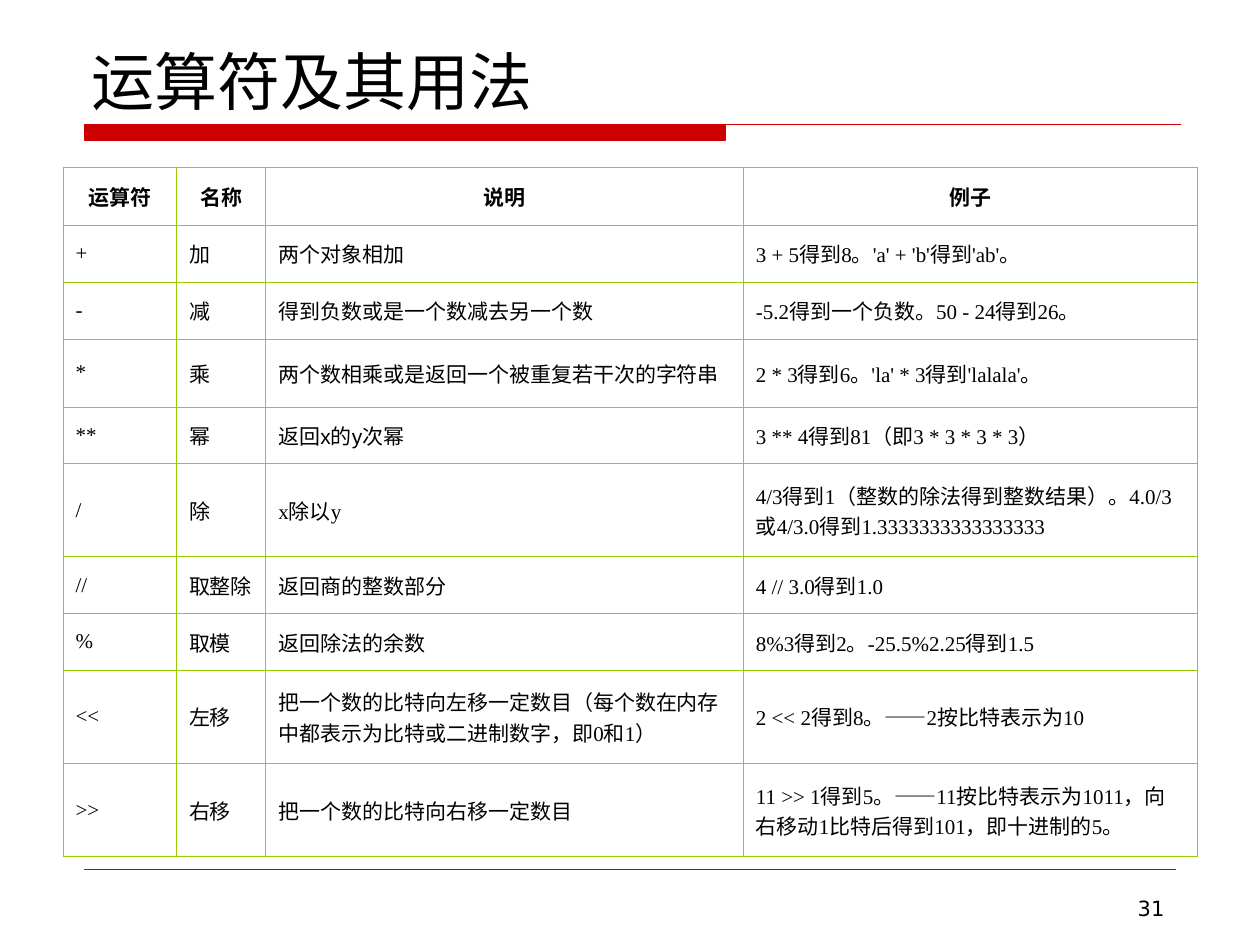
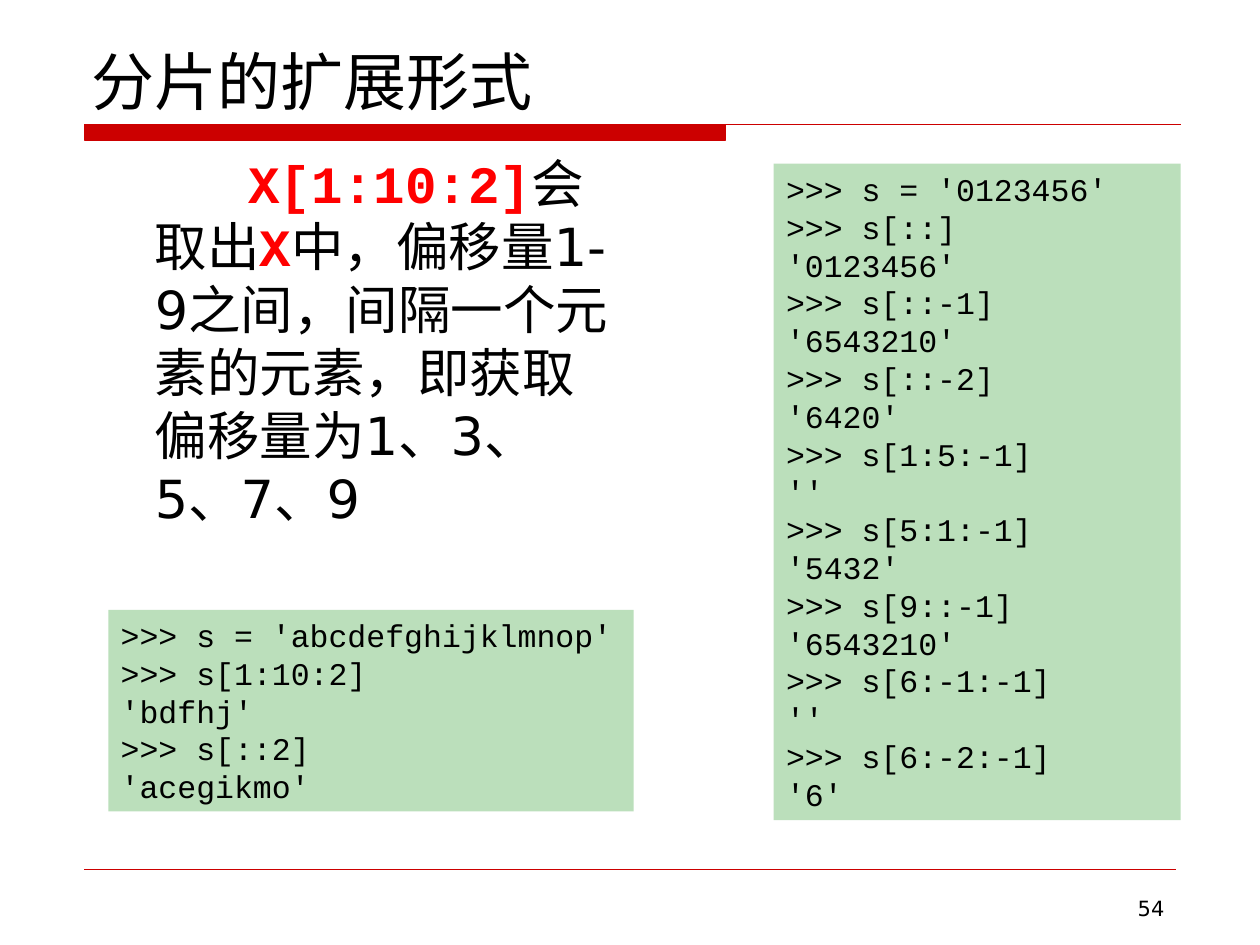
import pptx
import pptx.util
import pptx.dml.color
import pptx.enum.shapes
import pptx.enum.text
import pptx.oxml
import pptx.oxml.ns
import lxml.etree

Pt = pptx.util.Pt
RGB = pptx.dml.color.RGBColor.from_string
ALIGN = pptx.enum.text.PP_ALIGN
ANCHOR = pptx.enum.text.MSO_ANCHOR
COLORS = {"text": "000000", "rule": "CC0000", "key": "FF0000", "code": "BBDFBB", "grid": "99CC00"}
FONTS = {"body": "DejaVu Sans", "code": "Courier New", "table": "Times New Roman", "plain": "Arial"}

presentation = pptx.Presentation()
presentation.slide_width = pptx.util.Inches(10)
presentation.slide_height = pptx.util.Inches(7.5)


def share(*percents):
    sides = (presentation.slide_width, presentation.slide_height)
    return [round(sides[index % 2] * percent / 100) for index, percent in enumerate(percents)]


def write(frame, lines, font, size, align=ALIGN.LEFT, bold=False):
    frame.word_wrap = True
    for index, line in enumerate(lines):
        paragraph = frame.paragraphs[0] if index == 0 else frame.add_paragraph()
        paragraph.alignment = align
        paragraph.font.name = FONTS[font]
        paragraph.font.size = Pt(size)
        paragraph.font.bold = bold
        paragraph.font.color.rgb = RGB(COLORS["text"])
        paragraph.add_run().text = line


slides = []
for title, number in [("运算符及其用法", "31"), ("分片的扩展形式", "54")]:
    slide = presentation.slides.add_slide(presentation.slide_layouts[6])
    slides.append(slide)

    left, top, middle, bottom = share(6.7, 13.2, 57.6, 14.8)
    right = share(93.7)[0]
    builder = slide.shapes.build_freeform(left, top)
    builder.add_line_segments([(middle, top), (middle, bottom), (left, bottom)])
    builder.move_to(left, top)
    builder.add_line_segments([(right, top)], close=False)
    title_rule = builder.convert_to_shape()
    title_rule.shadow.inherit = False
    title_rule.fill.solid()
    title_rule.fill.fore_color.rgb = RGB(COLORS["rule"])
    title_rule.line.color.rgb = RGB(COLORS["rule"])
    title_rule.line.width = Pt(0.75)

    footer_rule = slide.shapes.add_connector(
        pptx.enum.shapes.MSO_CONNECTOR.STRAIGHT, *share(6.7, 92, 93.3, 92))
    footer_rule.line.color.rgb = RGB(COLORS["rule"])
    footer_rule.line.width = Pt(0.25)
    lxml.etree.SubElement(footer_rule._element.spPr, pptx.oxml.ns.qn("a:effectLst"))

    title_box = slide.shapes.add_textbox(*share(6.3, 4.4, 87.5, 8.8))
    title_box.text_frame.vertical_anchor = ANCHOR.BOTTOM
    write(title_box.text_frame, [title], "body", 36)
    number_box = slide.shapes.add_textbox(*share(71.7, 94.13, 21.7, 3.87))
    write(number_box.text_frame, [number], "body", 12, ALIGN.RIGHT)

operator_slide, slicing_slide = slides

operators = [
    ("运算符", "名称", "说明", "例子"),
    ("+", "加", "两个对象相加", "3 + 5得到8。'a' + 'b'得到'ab'。"),
    ("-", "减", "得到负数或是一个数减去另一个数", "-5.2得到一个负数。50 - 24得到26。"),
    ("*", "乘", "两个数相乘或是返回一个被重复若干次的字符串", "2 * 3得到6。'la' * 3得到'lalala'。"),
    ("**", "幂", "返回x的y次幂", "3 ** 4得到81（即3 * 3 * 3 * 3）"),
    ("/", "除", "x除以y", "4/3得到1（整数的除法得到整数结果）。4.0/3或4/3.0得到1.3333333333333333"),
    ("//", "取整除", "返回商的整数部分", "4 // 3.0得到1.0"),
    ("%", "取模", "返回除法的余数", "8%3得到2。-25.5%2.25得到1.5"),
    ("<<", "左移", "把一个数的比特向左移一定数目（每个数在内存中都表示为比特或二进制数字，即0和1）",
     "2 << 2得到8。——2按比特表示为10"),
    (">>", "右移", "把一个数的比特向右移一定数目",
     "11 >> 1得到5。——11按比特表示为1011，向右移动1比特后得到101，即十进制的5。"),
]
column_shares = [9, 7.1, 37.9, 36]
row_shares = [6.13, 6, 6, 7.2, 6, 9.87, 6, 6, 9.87, 9.87]
dash = "——"

table = operator_slide.shapes.add_table(
    len(operators), len(column_shares),
    *share(5, 17.73, sum(column_shares), sum(row_shares))).table
table.first_row = False
table.horz_banding = False
for column, width in zip(table.columns, column_shares):
    column.width = share(width)[0]
for row, height in zip(table.rows, row_shares):
    row.height = share(0, height)[1]

for row_index, texts in enumerate(operators):
    header = row_index == 0
    for column_index, text in enumerate(texts):
        cell = table.cell(row_index, column_index)
        cell.vertical_anchor = ANCHOR.MIDDLE
        cell.fill.background()
        font = "plain" if text == "返回x的y次幂" else "table"
        before, found, after = text.partition(dash)
        write(cell.text_frame, [before], font, 12, ALIGN.CENTER if header else ALIGN.LEFT, header)
        if found:
            paragraph = cell.text_frame.paragraphs[0]
            dash_run = paragraph.add_run()
            dash_run.text = dash
            dash_run.font.name = FONTS["plain"]
            paragraph.add_run().text = after
        properties = cell._tc.get_or_add_tcPr()
        for position, side in enumerate("LRTB"):
            properties.insert(position, pptx.oxml.parse_xml(
                f'<a:ln{side} {pptx.oxml.ns.nsdecls("a")} w="{Pt(0.45)}"><a:solidFill>'
                f'<a:srgbClr val="{COLORS["grid"]}"/></a:solidFill></a:ln{side}>'))

explanation = slicing_slide.shapes.add_textbox(*share(6.2, 15.33, 43.8, 45.07))
explanation.text_frame.word_wrap = True
paragraph = explanation.text_frame.paragraphs[0]
paragraph_properties = paragraph._p.get_or_add_pPr()
paragraph_properties.set("marL", str(share(5.1)[0]))
paragraph_properties.set("indent", str(share(7.4)[0]))
paragraph.font.size = Pt(30)
for text, is_code in [
    ("X[1:10:2]", True),
    ("会取出", False),
    ("X", True),
    ("中，偏移量1-9之间，间隔一个元素的元素，即获取偏移量为1、3、5、7、9", False),
]:
    run = paragraph.add_run()
    run.text = text
    run.font.name = FONTS["code" if is_code else "body"]
    run.font.bold = is_code
    run.font.color.rgb = RGB(COLORS["key" if is_code else "text"])

letter_session = """>>> s = 'abcdefghijklmnop'
>>> s[1:10:2]
'bdfhj'
>>> s[::2]
'acegikmo'"""
digit_session = """>>> s = '0123456'
>>> s[::]
'0123456'
>>> s[::-1]
'6543210'
>>> s[::-2]
'6420'
>>> s[1:5:-1]
''
>>> s[5:1:-1]
'5432'
>>> s[9::-1]
'6543210'
>>> s[6:-1:-1]
''
>>> s[6:-2:-1]
'6'"""
for session, place in [
    (letter_session, (8.6, 64.53, 41.7, 21.33)),
    (digit_session, (61.4, 17.33, 32.3, 69.47)),
]:
    code_box = slicing_slide.shapes.add_shape(
        pptx.enum.shapes.MSO_SHAPE.RECTANGLE, *share(*place))
    code_box.shadow.inherit = False
    code_box.fill.solid()
    code_box.fill.fore_color.rgb = RGB(COLORS["code"])
    code_box.line.fill.background()
    code_box.text_frame.vertical_anchor = ANCHOR.TOP
    write(code_box.text_frame, session.splitlines(), "code", 18)

presentation.save("out.pptx")
